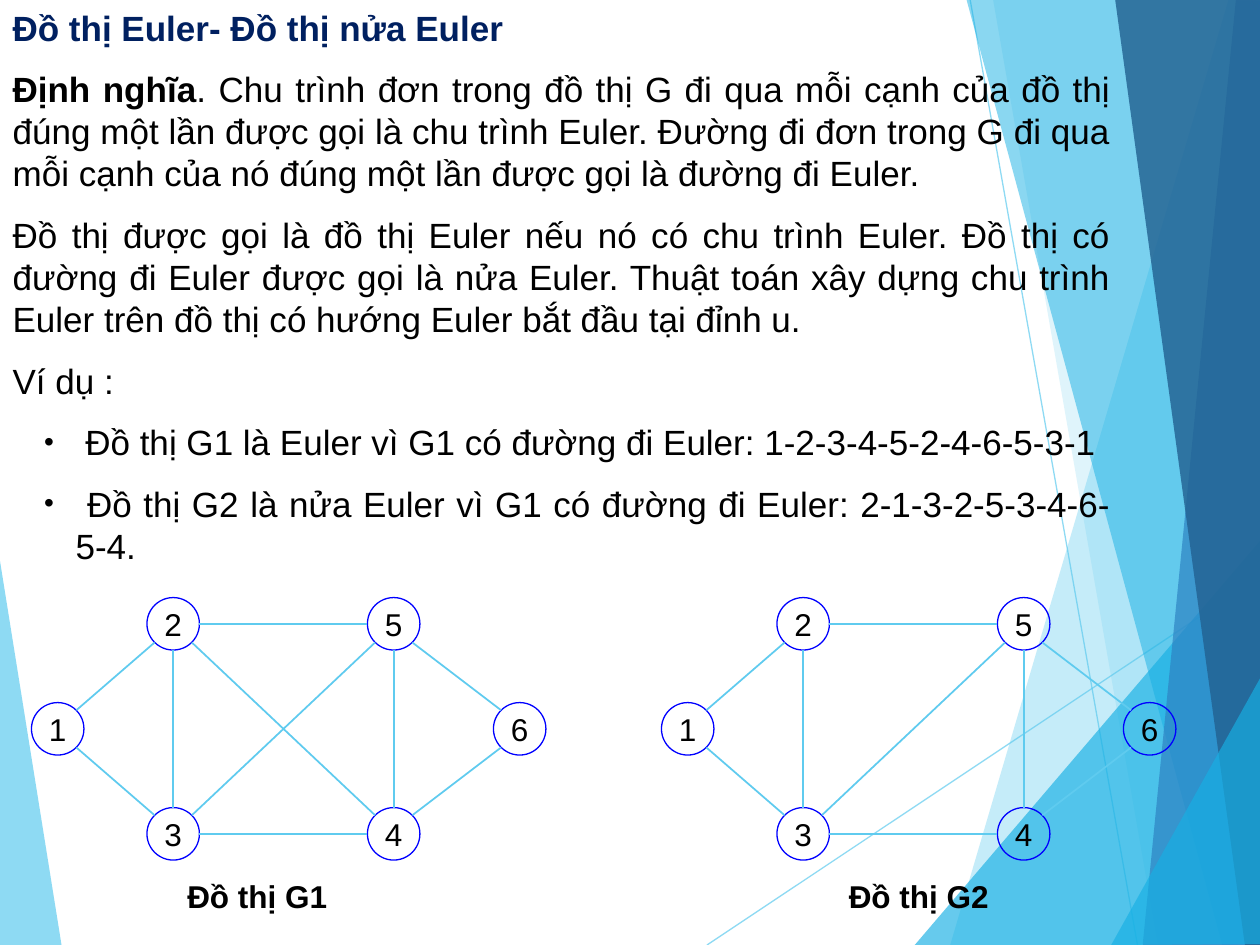
from lxml import etree
from pptx import Presentation
from pptx import util as u
from pptx.dml import color
from pptx.enum import shapes, text
from pptx.oxml import ns

Pt = u.Pt
FONT = "Arial"
COLORS = {
    "title": "002060", "text": "000000", "node": "0000FF",
    "sky": "5FCBEF", "cyan": "17B0E4", "blue": "2E83C3", "navy": "236292",
}

# Content
TITLE = "Đồ thị Euler- Đồ thị nửa Euler"
# Each paragraph: (bulleted, [(run text, bold), ...])
BODY = [
    (False, [("Định nghĩa", True),
             (". Chu trình đơn trong đồ thị G đi qua mỗi cạnh của đồ thị đúng một lần "
              "được gọi là chu trình Euler. Đường đi đơn trong G đi qua mỗi cạnh của nó "
              "đúng một lần được gọi là đường đi Euler.", False)]),
    (False, [("Đồ thị được gọi là đồ thị Euler nếu nó có chu trình Euler. Đồ thị có "
              "đường đi Euler được gọi là nửa Euler. Thuật toán xây dựng chu trình Euler "
              "trên đồ thị có hướng Euler bắt đầu tại đỉnh u.", False)]),
    (False, [("Ví dụ :", False)]),
    (True, [(" Đồ thị G1 là Euler vì G1 có đường đi Euler: 1-2-3-4-5-2-4-6-5-3-1", False)]),
    (True, [(" Đồ thị G2 là nửa Euler vì G1 có đường đi Euler: 2-1-3-2-5-3-4-6-5-4.", False)]),
]

# Node centres of a graph, shared by both graphs
RADIUS = 15
NODES = {2: (99, 356.5), 5: (225, 356.5), 3: (99, 476.5),
         4: (225, 476.5), 1: (33, 416.5), 6: (297, 416.5)}
EDGES = [(1, 2), (2, 5), (1, 3), (3, 4), (4, 6), (6, 5), (2, 3), (5, 4), (3, 5)]
# Caption, graph offset, caption left, edges
GRAPHS = [("Đồ thị G1", 0, 66, EDGES + [(2, 4)]),
          ("Đồ thị G2", 360, 444, EDGES)]

# Background facets: (colour, opacity %, points); two points make a line
FACETS = [
    ("sky", 70, [(-0.7, 316), (35.3, 540.7), (-0.7, 540)]),
    ("sky", 70, [(404, 540), (720.7, 329)]),
    ("sky", 70, [(554.4, 0), (650, 540)]),
    ("sky", 36, [(702, 0), (543, 540), (721.4, 540.7), (720.7, 0.7)]),
    ("sky", 20, [(567.4, -0.7), (661.7, 540), (720.7, 540), (720.7, -0.7)]),
    ("cyan", 66, [(522.7, 540), (720, 309), (720.7, 540)]),
    ("cyan", 50, [(552.2, -0.7), (698.4, 540), (720.7, 539.3), (720.7, -0.7)]),
    ("blue", 70, [(706.3, -0.7), (653, 540), (720.7, 540), (720, -0.7)]),
    ("navy", 82, [(637.2, -0.7), (711.4, 540), (721.4, 540), (720, -0.7)]),
    ("cyan", 66, [(635, 540), (721.4, 385.2), (721.4, 539.3)]),
]


def rgb(name):
    return color.RGBColor.from_string(COLORS[name])


def sub(parent, tag, **attrs):
    return etree.SubElement(parent, ns.qn(tag), attrs)


def set_alpha(sp, percent):
    for clr in sp.element.spPr.iter(ns.qn("a:srgbClr")):
        sub(clr, "a:alpha", val=str(percent * 1000))


def add_line(s, start, end, width):
    line = s.shapes.add_connector(shapes.MSO_CONNECTOR.STRAIGHT,
                                  *(Pt(v) for v in (*start, *end)))
    line.line.color.rgb = rgb("sky")
    line.line.width = Pt(width)
    sub(line.element.spPr, "a:effectLst")
    return line


def add_facet(s, name, alpha, points):
    if len(points) == 2:
        sp = add_line(s, *points, 0.75)
    else:
        first, *rest = [(Pt(x), Pt(y)) for x, y in points]
        builder = s.shapes.build_freeform(*first)
        builder.add_line_segments(rest, close=True)
        sp = builder.convert_to_shape()
        sp.shadow.inherit = False
        sp.fill.solid()
        sp.fill.fore_color.rgb = rgb(name)
        sp.line.fill.background()
    set_alpha(sp, alpha)


def place(sp, left, top, width, height):
    sp.left, sp.top, sp.width, sp.height = (Pt(v) for v in (left, top, width, height))


def frame(sp, wrap=True, anchor=text.MSO_ANCHOR.TOP):
    tf = sp.text_frame
    tf.word_wrap = wrap
    tf.auto_size = text.MSO_AUTO_SIZE.NONE
    tf.vertical_anchor = anchor
    tf.margin_left = tf.margin_right = Pt(7.2)
    tf.margin_top = tf.margin_bottom = Pt(3.6)
    return tf


def add_run(p, words, size, bold=False, name="text"):
    r = p.add_run()
    r.text = words
    r.font.name, r.font.size, r.font.bold = FONT, Pt(size), bold
    r.font.color.rgb = rgb(name)


def format_bullet(p, bulleted):
    pPr = p._p.get_or_add_pPr()
    pPr.set("marL", str(Pt(36 if bulleted else 0)))
    pPr.set("indent", str(Pt(-18 if bulleted else 0)))
    if bulleted:
        sub(sub(pPr, "a:buClr"), "a:srgbClr", val=COLORS["text"])
        sub(pPr, "a:buSzPct", val="80000")
        sub(pPr, "a:buFont", typeface=FONT)
        sub(pPr, "a:buChar", char="•")
    else:
        sub(pPr, "a:buNone")


def rim_point(node, other):
    """Point on the node's rim at the compass direction nearest the other node."""
    (x, y), (ox, oy) = NODES[node], NODES[other]
    dx, dy = (ox > x) - (ox < x), (oy > y) - (oy < y)
    reach = RADIUS * (0.71 if dx and dy else 1)
    return x + dx * reach, y + dy * reach


def add_graph(s, caption, offset, caption_left, edges):
    for label, (x, y) in NODES.items():
        sp = s.shapes.add_shape(shapes.MSO_SHAPE.OVAL, 0, 0, 0, 0)
        place(sp, x + offset - RADIUS, y - RADIUS, 2 * RADIUS, 2 * RADIUS)
        sp.shadow.inherit = False
        sp.fill.background()
        sp.line.color.rgb = rgb("node")
        sp.line.width = Pt(0.75)
        p = frame(sp, False, text.MSO_ANCHOR.MIDDLE).paragraphs[0]
        p.alignment = text.PP_ALIGN.CENTER
        add_run(p, str(label), 18)
    for a, b in edges:
        (x1, y1), (x2, y2) = rim_point(a, b), rim_point(b, a)
        add_line(s, (x1 + offset, y1), (x2 + offset, y2), 1)
    box = s.shapes.add_textbox(0, 0, 0, 0)
    place(box, caption_left, 497.5, 162, 29)
    p = frame(box).paragraphs[0]
    p.alignment = text.PP_ALIGN.CENTER
    add_run(p, caption, 18, True)


def main():
    prs = Presentation()
    prs.slide_width, prs.slide_height = Pt(720), Pt(540)
    s = prs.slides.add_slide(prs.slide_layouts[1])
    title, body = s.shapes.title, s.placeholders[1]

    # Background, with the placeholders brought in front of it
    for facet in FACETS:
        add_facet(s, *facet)
    for sp in (title, body):
        s.shapes.element.append(sp.element)

    # Title
    place(title, 0, 0, 642, 35)
    p = frame(title).paragraphs[0]
    p.alignment = text.PP_ALIGN.LEFT
    add_run(p, TITLE, 20, True, "title")

    # Definitions and examples
    place(body, 0, 35.2, 642, 292.4)
    tf = frame(body)
    for i, (bulleted, runs) in enumerate(BODY):
        p = tf.add_paragraph() if i else tf.paragraphs[0]
        p.level = int(bulleted)
        p.alignment = text.PP_ALIGN.JUSTIFY
        p.space_before = Pt(11.2 if i else 0)
        format_bullet(p, bulleted)
        for words, bold in runs:
            add_run(p, words, 20, bold)

    # Graphs
    for graph in GRAPHS:
        add_graph(s, *graph)

    prs.save("out.pptx")


if __name__ == "__main__":
    main()
